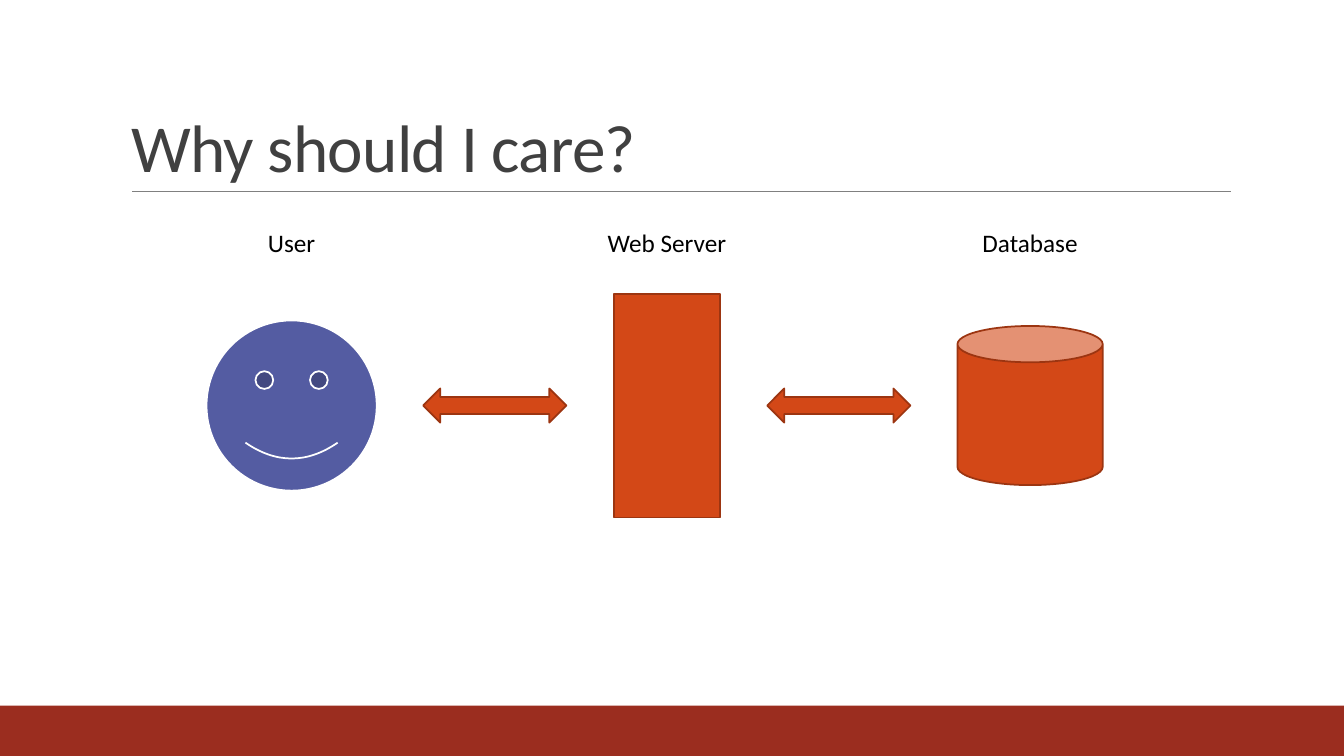
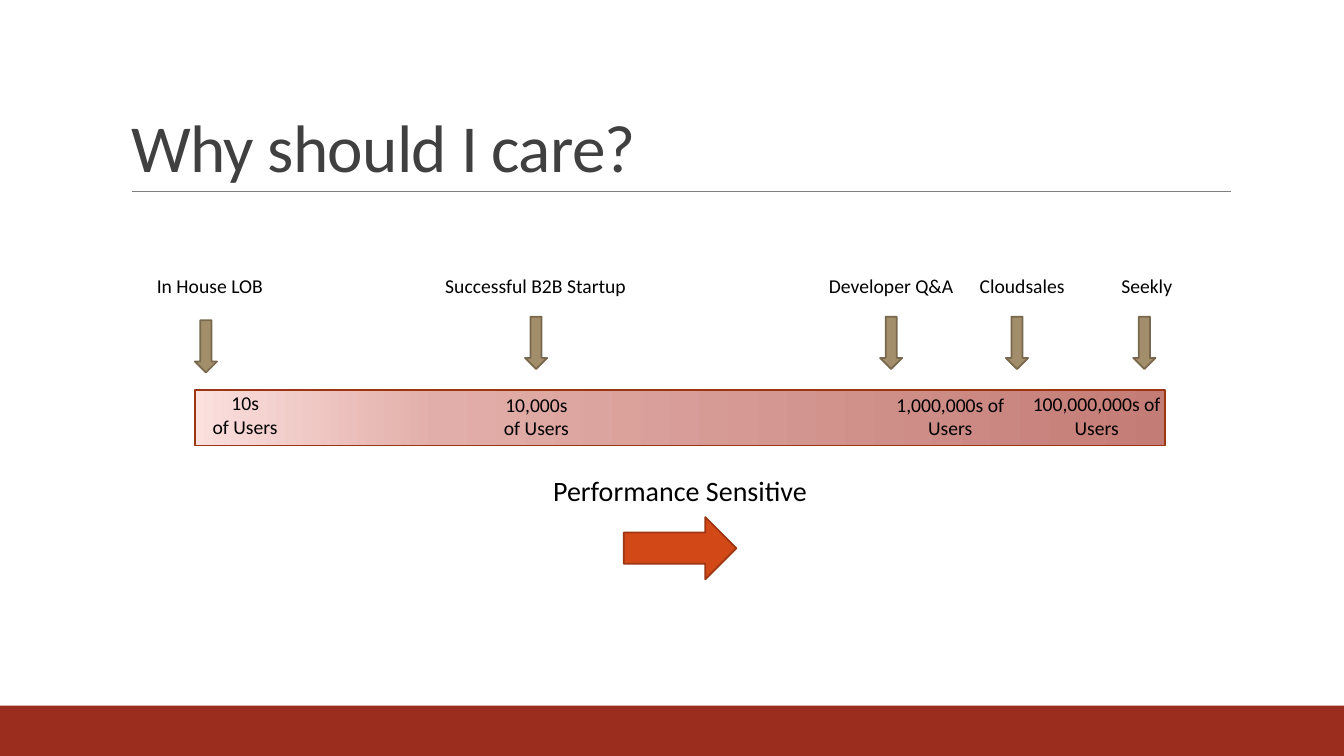
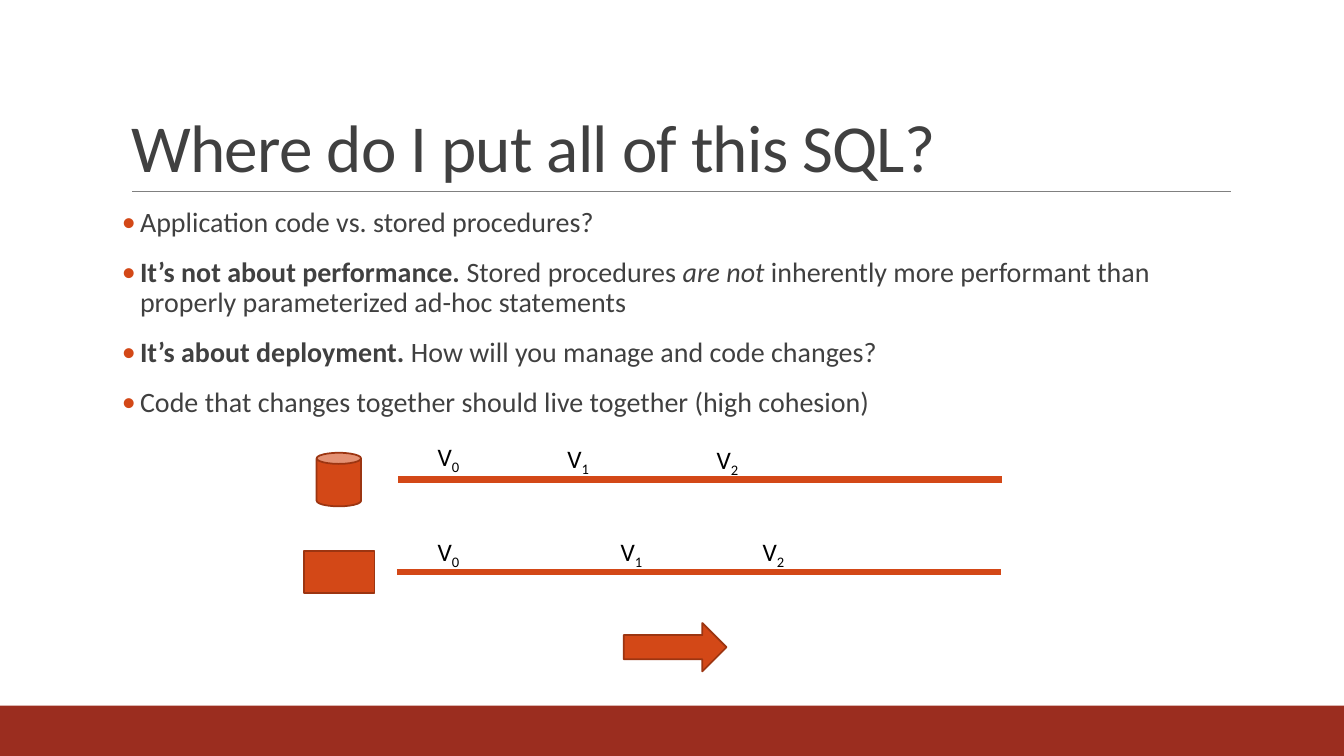
from lxml import etree
from pptx import Presentation
from pptx.dml.color import RGBColor
from pptx.enum.shapes import MSO_CONNECTOR, MSO_SHAPE
from pptx.enum.text import MSO_ANCHOR, PP_ALIGN
from pptx.oxml.ns import qn
from pptx.util import Cm, Pt

RECT, CAN, SMILEY = MSO_SHAPE.RECTANGLE, MSO_SHAPE.CAN, MSO_SHAPE.SMILEY_FACE
RIGHT, DOWN = MSO_SHAPE.RIGHT_ARROW, MSO_SHAPE.DOWN_ARROW
BOTH_WAYS = MSO_SHAPE.LEFT_RIGHT_ARROW
STRAIGHT = MSO_CONNECTOR.STRAIGHT
LEFT, CENTER = PP_ALIGN.LEFT, PP_ALIGN.CENTER
TOP, BOTTOM = MSO_ANCHOR.TOP, MSO_ANCHOR.BOTTOM

FONT = "Calibri"
COLORS = {
    "band": "9B2D1F", "rule": "808080", "title": "404040", "text": "000000",
    "orange": "D34817", "orange_edge": "9C3511",
    "tan": "A28E6A", "tan_edge": "78694E",
    "blue": "545CA2", "white": "FFFFFF",
}
SCALE_STOPS = [(0, "FBE0DE"), (25, "E2AEA9"), (100, "C47C76")]
WIDTH, HEIGHT = 33.87, 19.05


def rgb(name):
    return RGBColor.from_string(COLORS[name])


# Elements
def add_shape(s, kind, x, y, w, h, fill="orange", edge="orange_edge"):
    sp = s.shapes.add_shape(kind, Cm(x), Cm(y), Cm(w), Cm(h))
    sp.shadow.inherit = False
    sp.fill.solid()
    sp.fill.fore_color.rgb = rgb(fill)
    if edge:
        sp.line.color.rgb = rgb(edge)
        sp.line.width = Pt(1.25)
    else:
        sp.line.fill.background()
    return sp


def add_centered(s, kind, cx, cy, w, h, *colors):
    return add_shape(s, kind, cx - w / 2, cy - h / 2, w, h, *colors)


def add_line(s, x1, x2, y, color, width):
    line = s.shapes.add_connector(STRAIGHT, Cm(x1), Cm(y), Cm(x2), Cm(y))
    line.line.color.rgb = rgb(color)
    line.line.width = Pt(width)
    etree.SubElement(line._element.spPr, qn("a:effectLst"))


def style_run(r, size, color="text"):
    r.font.name = FONT
    r.font.size = Pt(size)
    r.font.color.rgb = rgb(color)


def add_text(s, text, x, y, w, h, size, color="text", align=CENTER, anchor=TOP):
    tf = s.shapes.add_textbox(Cm(x), Cm(y), Cm(w), Cm(h)).text_frame
    tf.word_wrap = True
    tf.vertical_anchor = anchor
    tf.text = text
    for p in tf.paragraphs:
        p.alignment = align
        for r in p.runs:
            style_run(r, size, color)
    return tf


def add_label(s, text, cx, y, w, size, h=0.9):
    return add_text(s, text, cx - w / 2, y, w, h, size)


def add_version(s, number, x, y):
    tf = add_text(s, "V", x, y, 1.35, 1.02, 18, align=LEFT)
    r = tf.paragraphs[0].add_run()
    r.text = str(number)
    style_run(r, 18)
    r.font._element.set("baseline", "-25000")


def add_bullets(s, items, x, y, w, h, size):
    tf = s.shapes.add_textbox(Cm(x), Cm(y), Cm(w), Cm(h)).text_frame
    tf.word_wrap = True
    tf.margin_left = tf.margin_right = 0
    for i, item in enumerate(items):
        p = tf.paragraphs[0] if i == 0 else tf.add_paragraph()
        p.line_spacing = 0.9
        p.space_before = Pt(12 if i else 0)
        p.space_after = Pt(2)
        pPr = p._p.get_or_add_pPr()
        pPr.set("marL", str(Cm(0.48)))
        pPr.set("indent", str(Cm(-0.46)))
        clr = etree.SubElement(pPr, qn("a:buClr"))
        etree.SubElement(clr, qn("a:srgbClr"), val=COLORS["orange"])
        etree.SubElement(pPr, qn("a:buFont"), typeface=FONT)
        etree.SubElement(pPr, qn("a:buChar"), char="•")
        for text, style in item:
            r = p.add_run()
            r.text = text
            style_run(r, size, "title")
            r.font.bold = style == "bold"
            r.font.italic = style == "italic"


def set_gradient(sp, stops):
    sp.fill.gradient()
    sp.fill.gradient_angle = 0
    gs_list = sp._element.spPr.find(qn("a:gradFill")).find(qn("a:gsLst"))
    for gs in list(gs_list):
        gs_list.remove(gs)
    for pos, color in stops:
        gs = etree.SubElement(gs_list, qn("a:gs"), pos=str(pos * 1000))
        etree.SubElement(gs, qn("a:srgbClr"), val=color)


# Shared frame: band, rule and title
def new_slide(prs, title):
    s = prs.slides.add_slide(prs.slide_layouts[6])
    add_shape(s, RECT, 0, 17.78, WIDTH, HEIGHT - 17.78, "band", None)
    add_line(s, 3.33, 31.01, 4.83, "rule", 0.5)
    tf = add_text(s, title, 3.06, 0.79, 27.94, 4.04, 48, "title", LEFT, BOTTOM)
    p = tf.paragraphs[0]
    p.line_spacing = 0.85
    p.runs[0].font._element.set("spc", "-50")
    return s


# Slides
def build_tiers(prs):
    s = new_slide(prs, "Why should I care?")
    cy = 10.22
    tiers = [
        ("User", 7.35, SMILEY, 4.29, 4.29, "blue", "white"),
        ("Web Server", 16.81, RECT, 2.69, 5.64, "orange", "orange_edge"),
        ("Database", 25.96, CAN, 3.66, 4.01, "orange", "orange_edge"),
    ]
    for name, cx, kind, w, h, fill, edge in tiers:
        add_centered(s, kind, cx, cy, w, h, fill, edge)
        add_label(s, name, cx, 5.61, 5.84, 18)
    for cx in (12.47, 21.14):
        add_centered(s, BOTH_WAYS, cx, cy, 3.61, 0.86)


def build_scale(prs):
    s = new_slide(prs, "Why should I care?")
    bar = add_shape(s, RECT, 4.91, 9.83, 24.46, 1.4)
    set_gradient(bar, SCALE_STOPS)

    # Examples above the bar: name, arrow centre, arrow top, label centre, width
    examples = [
        ("In House LOB", 5.19, 8.07, 5.29, 4.57),
        ("Successful B2B Startup", 13.51, 7.98, 13.5, 6),
        ("Developer Q&A", 22.46, 7.98, 22.46, 4.06),
        ("Cloudsales", 25.63, 7.98, 25.76, 3.56),
        ("Seekly", 28.84, 7.98, 28.9, 3.56),
    ]
    for name, arrow_cx, arrow_y, label_cx, w in examples:
        add_shape(s, DOWN, arrow_cx - 0.28, arrow_y, 0.56, 1.32, "tan", "tan_edge")
        add_label(s, name, label_cx, 6.79, w, 14)

    # User counts on the bar: text, centre, top, width
    counts = [
        ("10s\nof Users", 6.18, 9.73, 3.38),
        ("10,000s\nof Users", 13.52, 9.77, 3.38),
        ("1,000,000s of Users", 23.95, 9.77, 3.38),
        ("100,000,000s of Users", 27.64, 9.76, 3.76),
    ]
    for text, cx, y, w in counts:
        add_label(s, text, cx, y, w, 14, 1.45)

    add_label(s, "Performance Sensitive", 17.14, 11.81, 7.8, 20, 1.12)
    add_shape(s, RIGHT, 15.72, 13.03, 2.84, 1.57)


def build_deployment(prs):
    s = new_slide(prs, "Where do I put all of this SQL?")
    add_bullets(s, [
        [("Application code vs. stored procedures?", "")],
        [("It’s not about performance. ", "bold"), ("Stored procedures ", ""),
         ("are not", "italic"),
         (" inherently more performant than properly parameterized "
          "ad-hoc statements", "")],
        [("It’s about deployment.", "bold"),
         (" How will you manage and code changes?", "")],
        [("Code that changes together should live together (high cohesion)", "")],
    ], 3.05, 5.13, 27.94, 11.18, 20)

    # Version timelines of the database and the application
    add_shape(s, CAN, 7.98, 11.41, 1.12, 1.35)
    add_shape(s, RECT, 7.66, 13.88, 1.78, 1.07)
    timelines = [
        (10.03, 12.08, [(10.78, 11), (14.05, 11.05), (17.81, 11.07)]),
        (10.0, 14.42, [(10.78, 13.39), (15.39, 13.39), (18.97, 13.39)]),
    ]
    for x, y, versions in timelines:
        add_line(s, x, x + 15.22, y, "orange", 4.5)
        for number, (vx, vy) in enumerate(versions):
            add_version(s, number, vx, vy)
    add_shape(s, RIGHT, 15.72, 15.7, 2.59, 1.22)


def main():
    prs = Presentation()
    prs.slide_width, prs.slide_height = Cm(WIDTH), Cm(HEIGHT)
    build_tiers(prs)
    build_scale(prs)
    build_deployment(prs)
    prs.save("out.pptx")


if __name__ == "__main__":
    main()
